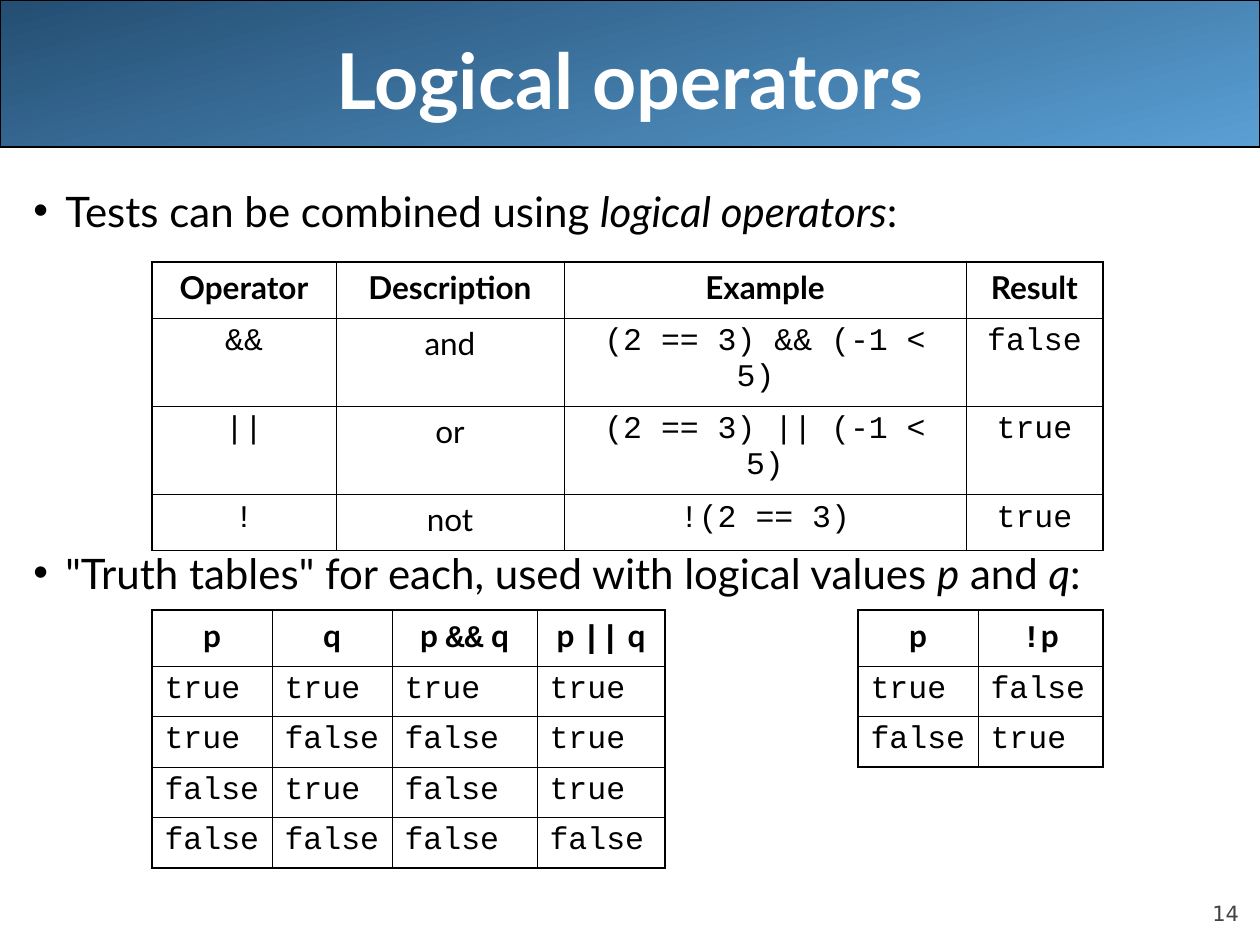
from lxml.etree import SubElement
from pptx import Presentation
from pptx.dml.color import RGBColor
from pptx.enum.shapes import MSO_SHAPE as Shape
from pptx.enum.text import MSO_ANCHOR as Anchor, PP_ALIGN as Align
from pptx.oxml import parse_xml
from pptx.oxml.ns import nsdecls, qn
from pptx.util import Emu, Pt

SANS, CODE, NUMBER = "Lato", "Courier New", "DejaVu Sans"
BLACK, WHITE, GREY = "000000", "FFFFFF", "424242"
BANNER_COLOURS = ["244E72", "5A9FD4"]
THIN, THICK = 0.45, 1.08

ITALIC, MONO, PLAIN = {"italic": True}, {"font": CODE}, {"font": SANS}
TITLE = "Logical operators"
BULLETS = [
    (["Tests can be combined using ", ("logical operators", ITALIC), ":"], 6),
    (['"Truth tables" for each, used with logical values ', ("p", ITALIC),
      " and ", ("q", ITALIC), ":"], 178),
]
TABLES = [
    {
        "at": (152, 262), "columns": [184, 228, 402, 137], "heights": [56, 84, 85, 56],
        "align": Align.CENTER,
        "rows": [
            ["Operator", "Description", "Example", "Result"],
            ["&&", [("and", PLAIN)], "(2 == 3) && (-1 < 5) ", "false"],
            ["||", [("or", PLAIN)], "(2 == 3) || (-1 < 5)", "true"],
            ["!", [("not", PLAIN)], "!(2 == 3)", "true"],
        ],
    },
    {
        "at": (152, 610), "columns": [120, 120, 145, 128], "heights": [56] + [49] * 4,
        "align": Align.LEFT,
        "rows": [
            ["p", "q", ["p ", ("&&", MONO), " q"], ["p ", ("||", MONO), " q"]],
            ["true", "true", "true", "true"],
            ["true", "false", "false", "true"],
            ["false", "true", "false", "true"],
            ["false", "false", "false", "false"],
        ],
    },
    {
        "at": (858, 610), "columns": [120, 125], "heights": [56, 49, 49],
        "align": Align.LEFT,
        "rows": [["p", [("!", MONO), "p"]], ["true", "false"], ["false", "true"]],
    },
]


def px(value):
    return Emu(round(value * 914400 / 126))


def colour(value):
    return RGBColor.from_string(value)


def write(paragraph, text, size=18, font=SANS, color=BLACK, bold=False,
          align=Align.LEFT, before=0):
    paragraph.alignment = align
    paragraph.space_before = Pt(before)
    for part in [text] if isinstance(text, str) else text:
        words, changes = (part, {}) if isinstance(part, str) else part
        run = paragraph.add_run()
        run.text = words
        run.font.name = changes.get("font", font)
        run.font.size = Pt(size)
        run.font.bold = bold
        run.font.italic = changes.get("italic", False)
        run.font.color.rgb = colour(color)


def add_box(slide, left, top, width, height, anchor=Anchor.TOP):
    frame = slide.shapes.add_textbox(px(left), px(top), px(width), px(height)).text_frame
    frame.word_wrap = True
    frame.vertical_anchor = anchor
    return frame


def add_bullet(paragraph):
    properties = paragraph._p.get_or_add_pPr()
    properties.set("marL", str(px(32)))
    properties.set("indent", str(px(-32)))
    SubElement(properties, qn("a:buFont")).set("typeface", "Arial")
    SubElement(properties, qn("a:buChar")).set("char", "•")


def add_borders(cell, outer_edges):
    properties = cell._tc.get_or_add_tcPr()
    for index, (side, outer) in enumerate(zip("LRTB", outer_edges)):
        width = Pt(THICK if outer else THIN)
        properties.insert(index, parse_xml(
            f'<a:ln{side} {nsdecls("a")} w="{width}"><a:solidFill>'
            f'<a:srgbClr val="{BLACK}"/></a:solidFill></a:ln{side}>'))


def add_grid(slide, grid):
    rows, columns, heights = grid["rows"], grid["columns"], grid["heights"]
    left, top = grid["at"]
    table = slide.shapes.add_table(len(rows), len(columns), px(left), px(top),
                                   px(sum(columns)), px(sum(heights))).table
    table.first_row = table.horz_banding = False
    for column, width in zip(table.columns, columns):
        column.width = px(width)
    for r, (row, height) in enumerate(zip(rows, heights)):
        table.rows[r].height = px(height)
        header = r == 0
        for c, text in enumerate(row):
            cell = table.cell(r, c)
            cell.fill.background()
            write(cell.text_frame.paragraphs[0], text, before=4.5, bold=header,
                  font=SANS if header else CODE,
                  align=Align.CENTER if header else grid["align"])
            add_borders(cell, (c == 0, c == len(columns) - 1, header, r == len(rows) - 1))


def add_banner(slide):
    banner = slide.shapes.add_shape(Shape.ROUNDED_RECTANGLE, 0, 0, px(1260), px(147))
    banner.adjustments[0] = 0
    banner.shadow.inherit = False
    banner.fill.gradient()
    banner.fill.gradient_angle = 285
    for stop, value in zip(banner.fill.gradient_stops, BANNER_COLOURS):
        stop.color.rgb = colour(value)
    banner.line.color.rgb = colour(BLACK)
    banner.line.width = Pt(0.75)


def main():
    presentation = Presentation()
    presentation.slide_width, presentation.slide_height = px(1260), px(945)
    slide = presentation.slides.add_slide(presentation.slide_layouts[6])
    add_banner(slide)

    number = add_box(slide, 1134, 876, 105, 50, Anchor.BOTTOM)
    number.margin_left = number.margin_right = number.margin_top = number.margin_bottom = 0
    write(number.paragraphs[0], "14", size=12, font=NUMBER, color=GREY, align=Align.RIGHT)

    title = add_box(slide, 63, 0, 1134, 158, Anchor.MIDDLE)
    write(title.paragraphs[0], TITLE, size=44, color=WHITE, bold=True, align=Align.CENTER)

    body = add_box(slide, 21, 179, 1239, 714)
    for index, (text, before) in enumerate(BULLETS):
        paragraph = body.add_paragraph() if index else body.paragraphs[0]
        write(paragraph, text, size=24, before=before)
        add_bullet(paragraph)

    for grid in TABLES:
        add_grid(slide, grid)
    presentation.save("out.pptx")


if __name__ == "__main__":
    main()
